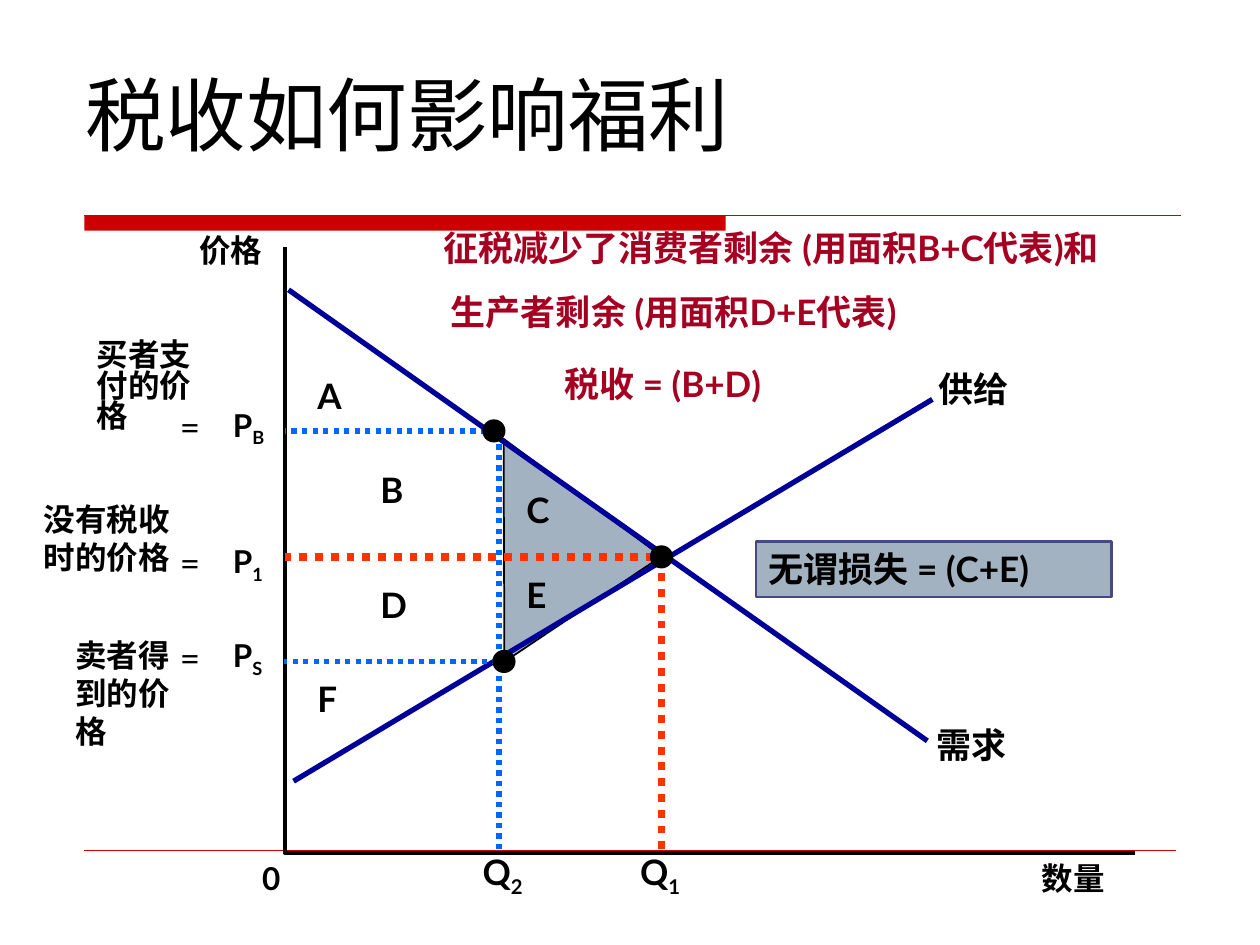
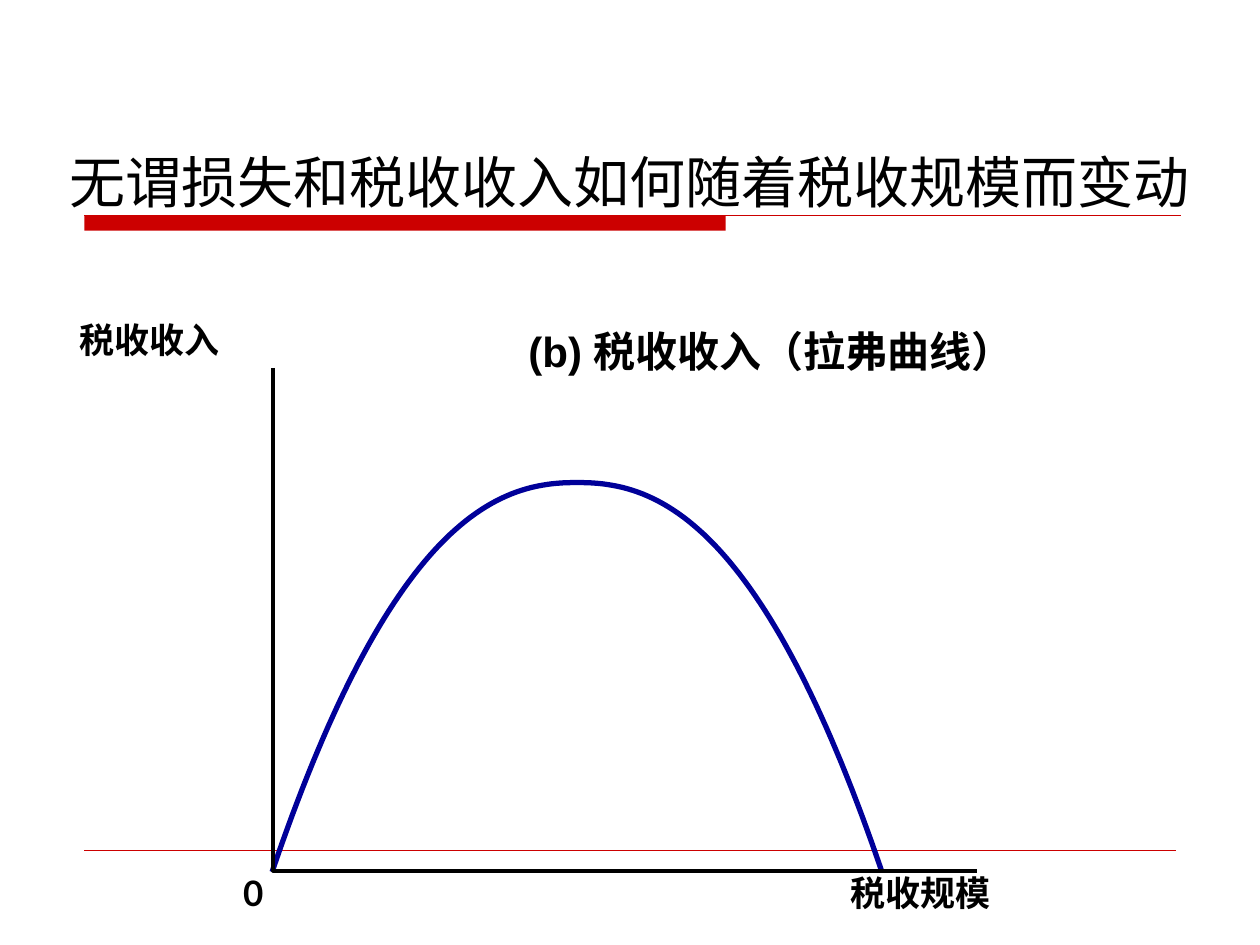
from dataclasses import dataclass

from lxml import etree
from pptx import Presentation
from pptx.dml.color import RGBColor
from pptx.enum.dml import MSO_LINE
from pptx.enum.shapes import MSO_CONNECTOR, MSO_SHAPE
from pptx.enum.text import MSO_ANCHOR, PP_ALIGN
from pptx.oxml.ns import qn
from pptx.util import Inches, Pt

STRAIGHT = MSO_CONNECTOR.STRAIGHT
DOTTED = MSO_LINE.ROUND_DOT
RECTANGLE = MSO_SHAPE.RECTANGLE
OVAL = MSO_SHAPE.OVAL
TRIANGLE = MSO_SHAPE.ISOSCELES_TRIANGLE
TOP, MIDDLE, BOTTOM = MSO_ANCHOR.TOP, MSO_ANCHOR.MIDDLE, MSO_ANCHOR.BOTTOM
LEFT, CENTER = PP_ALIGN.LEFT, PP_ALIGN.CENTER


@dataclass(frozen=True)
class Theme:
    black: str = "000000"
    band: str = "CC0000"
    note: str = "A50021"
    curve: str = "000099"
    tax_guide: str = "0066FF"
    free_guide: str = "FF3300"
    loss: str = "A3B2C1"
    loss_edge: str = "474A81"
    title_font: str = "DejaVu Sans"
    body_font: str = "Lato"
    caption_font: str = "Arial"
    title_size: float = 46
    long_title_size: float = 32
    caption_size: float = 24
    body_size: float = 20
    small_size: float = 18
    axis_width: float = 2.25
    curve_width: float = 3


THEME = Theme()
PADDING = (0.1, 0.05)
NO_PADDING = (0, 0)


def rgb(color):
    return RGBColor.from_string(color)


# Lines and shapes
def style_line(line, color, width, dash=None):
    line.color.rgb = rgb(color)
    line.width = Pt(width)
    if dash:
        line.dash_style = dash


def add_line(page, start, end, color, width, dash=None):
    line = page.shapes.add_connector(
        STRAIGHT, *(Inches(value) for value in (*start, *end)))
    etree.SubElement(line._element.spPr, qn("a:effectLst"))
    style_line(line.line, color, width, dash)


def add_path(page, points, color, width, dash=None):
    corners = [(Inches(x), Inches(y)) for x, y in points]
    builder = page.shapes.build_freeform(*corners[0])
    builder.add_line_segments(corners[1:], close=False)
    path = builder.convert_to_shape()
    path.shadow.inherit = False
    path.fill.background()
    style_line(path.line, color, width, dash)


def add_solid(page, kind, area, fill, edge=None, edge_width=1):
    solid = page.shapes.add_shape(kind, *(Inches(value) for value in area))
    solid.shadow.inherit = False
    solid.fill.solid()
    solid.fill.fore_color.rgb = rgb(fill)
    if edge:
        style_line(solid.line, edge, edge_width)
    else:
        solid.line.fill.background()
    return solid


def add_dot(page, x, y, size=0.17):
    area = (x - size / 2, y - size / 2, size, size)
    add_solid(page, OVAL, area, THEME.black, THEME.black)


# Text
def set_frame(frame, padding=PADDING, anchor=TOP):
    frame.word_wrap = True
    frame.vertical_anchor = anchor
    frame.margin_left = frame.margin_right = Inches(padding[0])
    frame.margin_top = frame.margin_bottom = Inches(padding[1])


def add_run(para, text, size, color=THEME.black, font=THEME.body_font,
            bold=True, subscript=False):
    span = para.add_run()
    span.text = text
    span.font.size = Pt(size)
    span.font.bold = bold
    span.font.name = font
    span.font.color.rgb = rgb(color)
    properties = span._r.get_or_add_rPr()
    etree.SubElement(properties, qn("a:ea"), typeface=font)
    if subscript:
        properties.set("baseline", "-25000")


def add_text(page, text, area, size=THEME.body_size, sub="", padding=PADDING,
             anchor=TOP, align=LEFT, spacing=None, **look):
    box = page.shapes.add_textbox(*(Inches(value) for value in area))
    set_frame(box.text_frame, padding, anchor)
    para = box.text_frame.paragraphs[0]
    para.alignment = align
    if spacing:
        para.line_spacing = spacing
    add_run(para, text, size, **look)
    if sub:
        add_run(para, sub, size, subscript=True, **look)
    return box


def add_axis_label(page, text, area, size=THEME.body_size, sub="", **layout):
    add_text(page, text, area, size, sub, padding=NO_PADDING, **layout)


def add_title(page, text, area, size, **layout):
    add_text(page, text, area, size, font=THEME.title_font, bold=False, **layout)


# Shared page furniture
def add_page(deck):
    page = deck.slides.add_slide(deck.slide_layouts[6])
    add_solid(page, RECTANGLE, (0.67, 1.71, 5.09, 0.12), THEME.band)
    add_line(page, (0.67, 1.71), (9.37, 1.71), THEME.band, 1)
    add_line(page, (0.67, 6.75), (9.33, 6.75), THEME.band, 0.25)
    return page


# Price and quantity diagram
def add_market_lines(page):
    loss = add_solid(page, TRIANGLE, (3.74, 3.74, 1.77, 1.25),
                     THEME.loss, THEME.black)
    loss.adjustments[0] = 0.53
    loss.rotation = 89.8

    add_path(page, [(2.26, 1.96), (2.26, 6.77), (9.01, 6.77)],
             THEME.black, THEME.axis_width)
    add_path(page, [(5.25, 6.74), (5.25, 4.42), (2.26, 4.42)],
             THEME.free_guide, 4.5, DOTTED)
    add_path(page, [(3.96, 6.74), (3.96, 3.42), (2.26, 3.42)],
             THEME.tax_guide, 3, DOTTED)
    add_line(page, (2.29, 2.3), (7.36, 5.88), THEME.curve, THEME.curve_width)
    add_line(page, (7.4, 3.17), (2.33, 6.2), THEME.curve, THEME.curve_width)
    add_line(page, (3.95, 5.25), (2.25, 5.25), THEME.tax_guide, 3, DOTTED)
    for x, y in ((3.92, 3.42), (5.25, 4.42), (4, 5.25)):
        add_dot(page, x, y)


def add_market_labels(page):
    for text, left, top in (("数量", 8.27, 6.82), ("0", 2.08, 6.82),
                            ("价格", 1.58, 1.83)):
        add_axis_label(page, text, (left, top, 0.6, 0.3), THEME.small_size)
    for text, left, top in (("需求", 7.43, 5.74), ("供给", 7.45, 2.92)):
        add_axis_label(page, text, (left, top, 0.7, 0.33))
    for sub, left in (("1", 5.08), ("2", 3.83)):
        add_axis_label(page, "Q", (left, 6.75, 0.42, 0.38), sub=sub)

    for area_name, left, top in (("A", 2.42, 2.92), ("B", 2.92, 3.67),
                                 ("C", 4.08, 3.83), ("D", 2.92, 4.58),
                                 ("E", 4.08, 4.5), ("F", 2.42, 5.33)):
        add_text(page, area_name, (left, top, 0.42, 0.44))

    # Each price: description, equals sign, symbol
    prices = (("买者支付的价格", (0.67, 2.67, 1.08, 0.82), 0.8, "B", 3.17),
              ("没有税收时的价格", (0.25, 3.92, 1.25, 0.7), None, "1", 4.25),
              ("卖者得到的价格", (0.5, 5, 1.17, 1), None, "S", 5))
    for text, area, spacing, sub, top in prices:
        add_text(page, text, area, THEME.small_size, spacing=spacing)
        add_text(page, "=", (1.33, top, 0.42, 0.44), bold=False)
        add_text(page, "P", (1.75, top, 0.58, 0.44), THEME.small_size, sub)


def add_welfare_notes(page):
    box = add_text(page, "征税减少了消费者剩余 (用面积B+C代表)和",
                   (3.42, 1.75, 6, 0.94), color=THEME.note)
    para = box.text_frame.add_paragraph()
    para.space_before = Pt(12.5)
    para._p.get_or_add_pPr().set("marL", str(Inches(0.06)))
    add_run(para, "生产者剩余 (用面积D+E代表)", THEME.body_size, THEME.note)
    add_text(page, "税收 = (B+D)", (4.38, 2.83, 5.5, 0.44), color=THEME.note)

    loss_box = add_solid(page, RECTANGLE, (6, 4.3, 2.82, 0.44),
                         THEME.loss, THEME.loss_edge, 1.5)
    set_frame(loss_box.text_frame)
    para = loss_box.text_frame.paragraphs[0]
    para.alignment = LEFT
    add_run(para, "无谓损失 = (C+E)", THEME.body_size)


def build_welfare_page(deck):
    page = add_page(deck)
    add_title(page, "税收如何影响福利", (0.58, 0.4, 9, 1),
              THEME.title_size, anchor=MIDDLE)
    add_market_lines(page)
    add_market_labels(page)
    add_welfare_notes(page)


# Tax revenue curve
def laffer_points(peak=(4.58, 3.83), half_width=2.42, height=3.09,
                  power=2.3, steps=60):
    points = []
    for step in range(-steps, steps + 1):
        share = step / steps
        points.append((peak[0] + half_width * share,
                       peak[1] + height * abs(share) ** power))
    return points


def build_revenue_page(deck):
    page = add_page(deck)
    add_title(page, "无谓损失和税收收入如何随着税收规模而变动",
              (0, 0.5, 10, 1.25), THEME.long_title_size,
              anchor=BOTTOM, align=CENTER, spacing=1.3)
    add_axis_label(page, "(b) 税收收入（拉弗曲线）", (3.87, 2.5, 4.5, 0.48),
                   THEME.caption_size, align=CENTER, spacing=1.2,
                   font=THEME.caption_font)
    add_axis_label(page, "税收收入", (0.33, 2.58, 1.71, 0.28),
                   align=CENTER, spacing=0.85)
    add_axis_label(page, "0", (1.93, 6.92, 0.3, 0.33))
    add_axis_label(page, "税收规模", (6.75, 6.92, 1.4, 0.33))
    add_path(page, laffer_points(), THEME.curve, THEME.curve_width)
    add_path(page, [(2.17, 2.92), (2.17, 6.91), (7.75, 6.91)],
             THEME.black, THEME.axis_width)


def main():
    deck = Presentation()
    deck.slide_width = Inches(10)
    deck.slide_height = Inches(7.5)
    build_welfare_page(deck)
    build_revenue_page(deck)
    deck.save("out.pptx")


if __name__ == "__main__":
    main()
